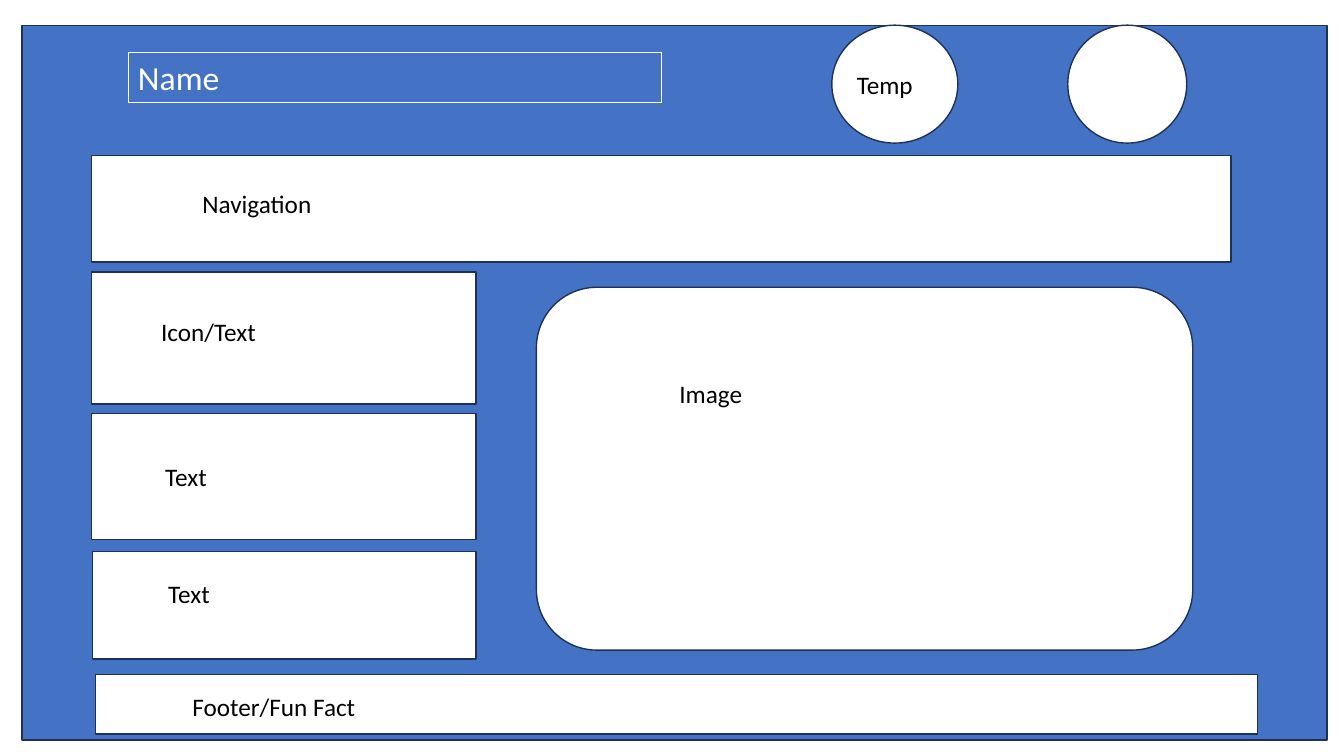
from dataclasses import dataclass

from pptx import Presentation
from pptx.dml.color import RGBColor
from pptx.enum.shapes import MSO_SHAPE
from pptx.enum.text import MSO_AUTO_SIZE
from pptx.shapes.autoshape import Shape
from pptx.slide import Slide
from pptx.util import Inches, Pt

RECTANGLE = MSO_SHAPE.RECTANGLE
ROUNDED_RECTANGLE = MSO_SHAPE.ROUNDED_RECTANGLE
OVAL = MSO_SHAPE.OVAL
FIT_SHAPE = MSO_AUTO_SIZE.SHAPE_TO_FIT_TEXT

BLANK_LAYOUT = 6
FONT = "Calibri"
LABEL_HEIGHT = 0.4
COLORS = {
    "page": "4472C4",
    "panel": "FFFFFF",
    "outline": "1E3256",
    "label": "000000",
    "name": "FFFFFF",
}


@dataclass(frozen=True)
class Panel:
    left: float
    top: float
    width: float
    height: float
    geometry: MSO_SHAPE = RECTANGLE
    fill: str = "panel"


@dataclass(frozen=True)
class Label:
    text: str
    left: float
    top: float
    width: float
    height: float = LABEL_HEIGHT
    size: int = 18
    color: str = "label"


PANELS = [
    Panel(0.22, 0.25, 12.94, 7.09, fill="page"),
    Panel(8.25, 0.25, 1.25, 1.17, OVAL),
    Panel(10.59, 0.25, 1.18, 1.17, OVAL),
    Panel(0.91, 1.54, 11.3, 1.06),
    Panel(0.91, 2.7, 3.81, 1.31),
    Panel(0.91, 4.1, 3.81, 1.25),
    Panel(0.92, 5.47, 3.8, 1.07),
    Panel(0.95, 6.69, 11.52, 0.59),
    Panel(5.32, 2.85, 6.51, 3.6, ROUNDED_RECTANGLE),
]

NAME = Label("Name", 1.27, 0.52, 5.29, 0.5, 24, "name")

LABELS = [
    Label("Navigation", 1.91, 1.82, 2.84),
    Label("Icon/Text", 1.5, 3.09, 2.53),
    Label("Text", 1.54, 4.53, 2.06),
    Label("Text", 1.57, 5.69, 2.06),
    Label("Footer/Fun Fact", 1.81, 6.81, 3.45),
    Label("Image", 6.64, 3.7, 2.67),
    Label("Temp", 8.4, 0.64, 0.9),
]


def color(name: str) -> RGBColor:
    return RGBColor.from_string(COLORS[name])


def outline(shape: Shape, color_name: str, width: float) -> None:
    shape.line.color.rgb = color(color_name)
    shape.line.width = Pt(width)


def draw_panel(slide: Slide, panel: Panel) -> None:
    shape = slide.shapes.add_shape(
        panel.geometry,
        Inches(panel.left),
        Inches(panel.top),
        Inches(panel.width),
        Inches(panel.height),
    )
    shape.shadow.inherit = False
    shape.fill.solid()
    shape.fill.fore_color.rgb = color(panel.fill)
    outline(shape, "outline", 1)


def draw_label(slide: Slide, label: Label) -> Shape:
    text_box = slide.shapes.add_textbox(
        Inches(label.left),
        Inches(label.top),
        Inches(label.width),
        Inches(label.height),
    )
    text_frame = text_box.text_frame
    text_frame.word_wrap = True
    text_frame.auto_size = FIT_SHAPE
    paragraph = text_frame.paragraphs[0]
    paragraph.text = label.text
    paragraph.font.name = FONT
    paragraph.font.size = Pt(label.size)
    paragraph.font.color.rgb = color(label.color)
    return text_box


def main() -> None:
    presentation = Presentation()
    presentation.slide_width = Inches(13.33)
    presentation.slide_height = Inches(7.5)
    slide = presentation.slides.add_slide(presentation.slide_layouts[BLANK_LAYOUT])
    for panel in PANELS:
        draw_panel(slide, panel)
    name_box = draw_label(slide, NAME)
    outline(name_box, "name", 0.75)
    for label in LABELS:
        draw_label(slide, label)
    presentation.save("out.pptx")


if __name__ == "__main__":
    main()
